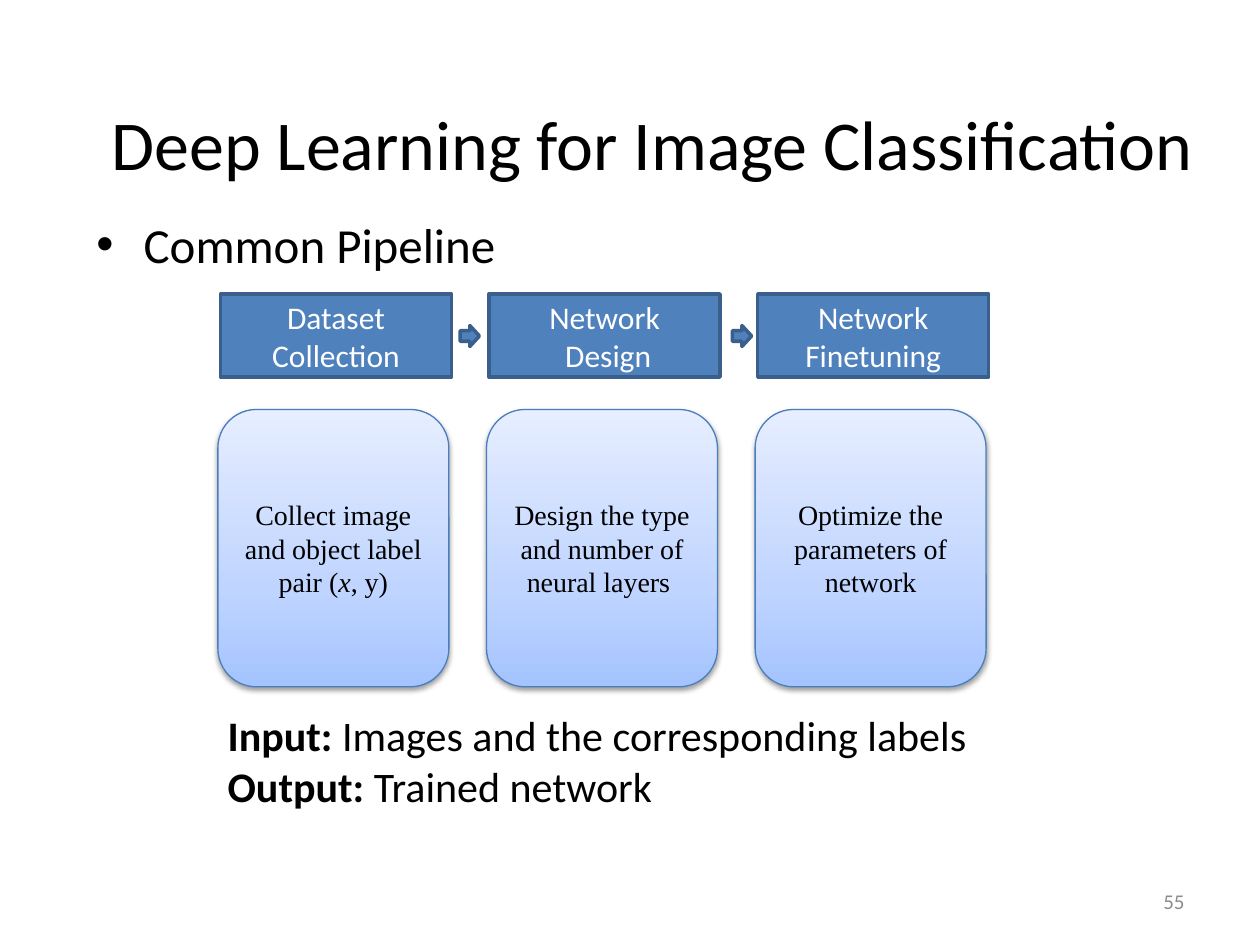
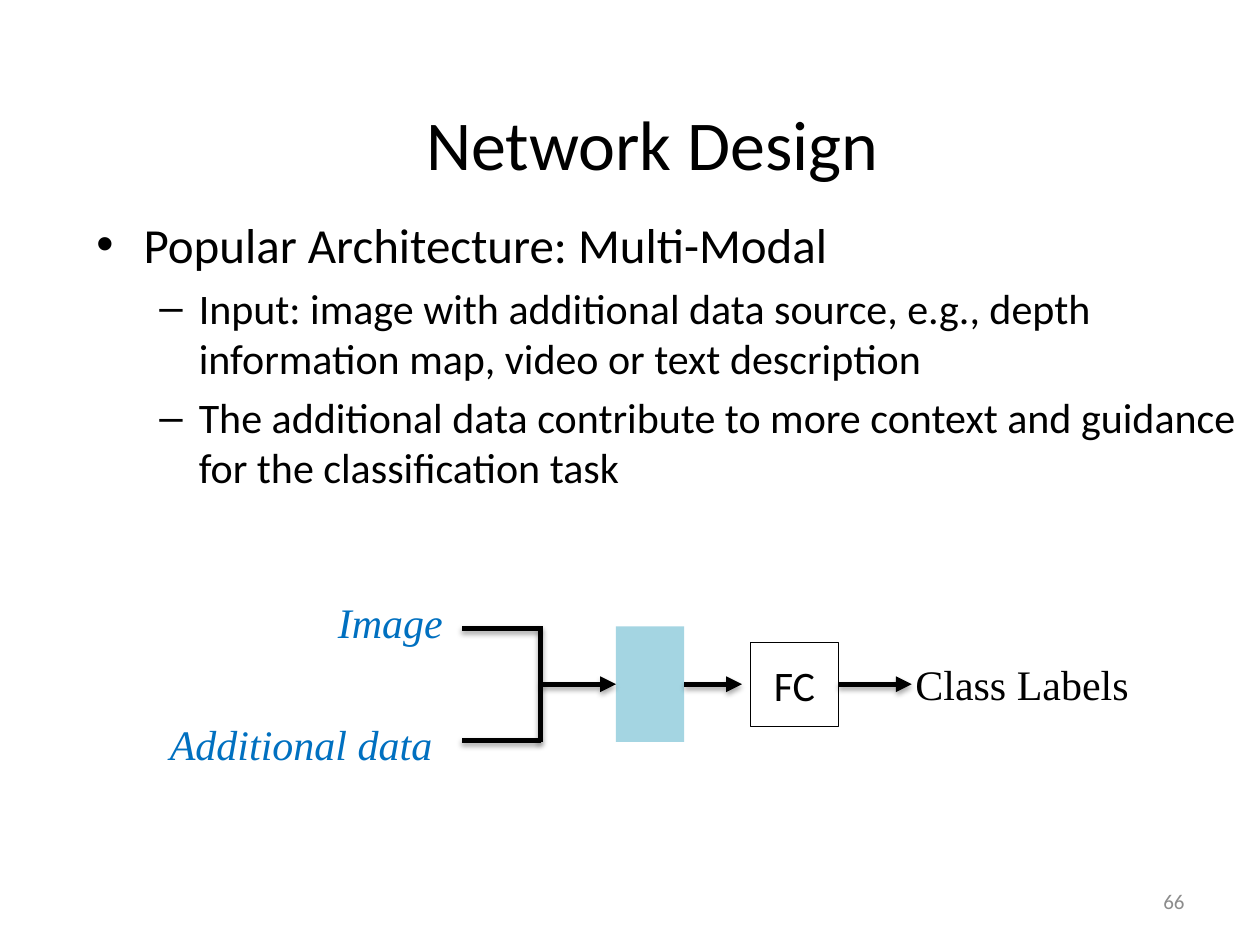
import copy
from dataclasses import dataclass

import lxml.etree
import pptx
import pptx.dml.color
import pptx.enum.shapes
import pptx.enum.text
import pptx.oxml.ns
import pptx.util

Pt = pptx.util.Pt
qn = pptx.oxml.ns.qn
Align = pptx.enum.text.PP_ALIGN
Anchor = pptx.enum.text.MSO_ANCHOR
Preset = pptx.enum.shapes.MSO_SHAPE
RIGHT_SIDE, LEFT_SIDE = 3, 1


@dataclass(frozen=True)
class Theme:
    sans: str = "Calibri"
    serif: str = "Times New Roman"
    black: str = "000000"
    white: str = "FFFFFF"
    grey: str = "8C8C8C"
    accent: str = "4F81BD"
    accent_edge: str = "3A5F8C"
    card_edge: str = "4B7EBC"
    card_stops: tuple = ((0, "A4C4FF"), (0.35, "BFD4FF"), (1, "E6EEFF"))
    source: str = "0070C0"
    fusion: str = "4BACC6"
    title_size: float = 40
    body_size: float = 28
    text_size: float = 24
    stage_size: float = 18
    card_size: float = 16
    footer_size: float = 12


THEME = Theme()


@dataclass(frozen=True)
class Box:
    left: float
    top: float
    width: float
    height: float

    def lengths(self) -> tuple:
        return Pt(self.left), Pt(self.top), Pt(self.width), Pt(self.height)


@dataclass(frozen=True)
class Style:
    size: float
    font: str = THEME.sans
    color: str = THEME.black
    italic: bool = False
    align: Align = Align.LEFT


@dataclass(frozen=True)
class Run:
    text: str
    bold: bool = False
    italic: bool = False


@dataclass(frozen=True)
class Bullet:
    char: str
    level: int
    margin: float
    hanging: float
    size: float


@dataclass(frozen=True)
class Stage:
    heading: tuple
    details: tuple


@dataclass(frozen=True)
class Shadow:
    alpha: int
    blur: float
    distance: float


TITLE = Box(49.5, 29, 646.5, 104.5)
BODY = Box(48, 119, 666, 356)
PAGE_NUMBER = Box(516, 500.5, 168, 28.5)
TOPIC = Bullet("•", 0, 27, 27, THEME.body_size)
POINT = Bullet("–", 1, 58.5, 22.5, THEME.text_size)
CARD_SHADOW = Shadow(38, 3.1, 1.6)
LINE_SHADOW = Shadow(35, 3.1, 1.8)
STAGES = (
    Stage(("Dataset Collection",),
          (Run("Collect image and object label pair ("), Run("x", italic=True), Run(", y)"))),
    Stage(("Network", " Design"),
          (Run("Design the type and number of neural layers "),)),
    Stage(("Network", "Finetuning"),
          (Run("Optimize the parameters of network"),)),
)


def rgb(value: str) -> pptx.dml.color.RGBColor:
    return pptx.dml.color.RGBColor.from_string(value)


def add_node(parent, tag: str, **attributes):
    return lxml.etree.SubElement(parent, qn(tag), {k: str(v) for k, v in attributes.items()})


def set_font(paragraph, style: Style) -> None:
    paragraph.alignment = style.align
    font = paragraph.font
    font.size, font.name, font.italic = Pt(style.size), style.font, style.italic
    font.color.rgb = rgb(style.color)


def write(frame, paragraphs, style: Style, anchor=Anchor.TOP, wrap: bool = True) -> None:
    frame.word_wrap = wrap
    frame.vertical_anchor = anchor
    for index, runs in enumerate(paragraphs):
        paragraph = frame.add_paragraph() if index else frame.paragraphs[0]
        set_font(paragraph, style)
        for part in runs:
            run = paragraph.add_run()
            run.text = part.text
            if part.bold:
                run.font.bold = True
            if part.italic:
                run.font.italic = True


def add_text(slide, box: Box, paragraphs, style: Style, anchor=Anchor.TOP, wrap: bool = True):
    text = slide.shapes.add_textbox(*box.lengths())
    write(text.text_frame, paragraphs, style, anchor, wrap)
    return text


def add_preset(slide, preset, box: Box, fill: str = "", edge: str = "", weight: float = 0):
    shape = slide.shapes.add_shape(preset, *box.lengths())
    shape.shadow.inherit = False
    if fill:
        shape.fill.solid()
        shape.fill.fore_color.rgb = rgb(fill)
    else:
        shape.fill.background()
    if edge:
        shape.line.color.rgb = rgb(edge)
        shape.line.width = Pt(weight)
    else:
        shape.line.fill.background()
    return shape


def cast_shadow(effects, shadow: Shadow) -> None:
    outer = add_node(effects, "a:outerShdw", blurRad=int(Pt(shadow.blur)),
                     dist=int(Pt(shadow.distance)), dir=5400000, rotWithShape=0)
    color = add_node(outer, "a:srgbClr", val=THEME.black)
    add_node(color, "a:alpha", val=shadow.alpha * 1000)


def shade_card(card) -> None:
    card.fill.gradient()
    card.fill.gradient_angle = 90
    stop_list = card._element.spPr.find(".//" + qn("a:gsLst"))
    stop_list.append(copy.deepcopy(stop_list[-1]))
    for stop, (position, color) in zip(card.fill.gradient_stops, THEME.card_stops):
        stop.position = position
        stop.color.rgb = rgb(color)
    cast_shadow(card._element.spPr.find(qn("a:effectLst")), CARD_SHADOW)


def add_wire(slide, start: tuple, end: tuple, arrow: bool = False):
    points = [Pt(value) for value in (*start, *end)]
    wire = slide.shapes.add_connector(pptx.enum.shapes.MSO_CONNECTOR.STRAIGHT, *points)
    wire.line.color.rgb = rgb(THEME.black)
    wire.line.width = Pt(3)
    if arrow:
        add_node(wire.line._get_or_add_ln(), "a:tailEnd", type="triangle")
    cast_shadow(add_node(wire._element.spPr, "a:effectLst"), LINE_SHADOW)
    return wire


def add_outline(slide, entries) -> None:
    frame = slide.shapes.add_textbox(*BODY.lengths()).text_frame
    frame.word_wrap = True
    for index, (bullet, text) in enumerate(entries):
        paragraph = frame.add_paragraph() if index else frame.paragraphs[0]
        paragraph.text = text
        paragraph.level = bullet.level
        properties = paragraph._p.get_or_add_pPr()
        properties.set("marL", str(int(Pt(bullet.margin))))
        properties.set("indent", str(-int(Pt(bullet.hanging))))
        add_node(properties, "a:buFont", typeface="Arial")
        add_node(properties, "a:buChar", char=bullet.char)
        set_font(paragraph, Style(bullet.size))
        if index:
            paragraph.space_before = Pt(5)


def start_slide(deck, title: str, number: int, outline):
    slide = deck.slides.add_slide(deck.slide_layouts[6])
    add_text(slide, TITLE, [[Run(title)]],
             Style(THEME.title_size, align=Align.CENTER), Anchor.MIDDLE)
    add_outline(slide, outline)
    add_text(slide, PAGE_NUMBER, [[Run(str(number))]],
             Style(THEME.footer_size, color=THEME.grey, align=Align.RIGHT), Anchor.MIDDLE)
    return slide


def build_pipeline(deck) -> None:
    slide = start_slide(deck, "Deep Learning for Image Classification", 55,
                        [(TOPIC, "Common Pipeline")])
    heading_style = Style(THEME.stage_size, color=THEME.white, align=Align.CENTER)
    card_style = Style(THEME.card_size, THEME.serif, align=Align.CENTER)
    pitch, width = 153.5, 132
    for index, stage in enumerate(STAGES):
        offset = index * pitch
        heading = add_preset(slide, Preset.RECTANGLE, Box(126 + offset, 168, width, 47.5),
                             THEME.accent, THEME.accent_edge, 2)
        write(heading.text_frame, [[Run(line)] for line in stage.heading],
              heading_style, Anchor.MIDDLE)
        card = add_preset(slide, Preset.ROUNDED_RECTANGLE,
                          Box(124.5 + offset, 234, width, 158.5),
                          edge=THEME.card_edge, weight=0.75)
        shade_card(card)
        write(card.text_frame, [stage.details], card_style, Anchor.MIDDLE)
    for index in range(len(STAGES) - 1):
        add_preset(slide, Preset.RIGHT_ARROW, Box(263 + index * 155.5, 186, 11, 12),
                   THEME.accent, THEME.accent_edge, 2)
    add_text(slide, Box(123, 402, 512.5, 65.5),
             [[Run("Input: ", bold=True), Run("Images and the corresponding labels")],
              [Run("Output: ", bold=True), Run("Trained network")]],
             Style(THEME.text_size))


def build_multi_modal(deck) -> None:
    slide = start_slide(deck, "Network Design", 66, [
        (TOPIC, "Popular Architecture: Multi-Modal"),
        (POINT, "Input: image with additional data source, e.g., depth information map, "
                "video or text description"),
        (POINT, "The additional data contribute to more context and guidance "
                "for the classification task"),
    ])
    axis, bus = 391, 309
    source_style = Style(THEME.text_size, THEME.serif, THEME.source, italic=True)
    for name, box in (("Image", Box(186, 337.5, 75, 36)),
                      ("Additional data", Box(90, 407, 165.5, 36))):
        source = add_preset(slide, Preset.RECTANGLE, box, THEME.white)
        write(source.text_frame, [[Run(name)]], source_style, wrap=False)

    fusion = add_preset(slide, Preset.RECTANGLE, Box(352, axis - 33, 39, 66), THEME.fusion)
    fusion_color = fusion._element.spPr.find(qn("a:solidFill")).find(qn("a:srgbClr"))
    add_node(fusion_color, "a:alpha", val=50000)
    classifier = add_preset(slide, Preset.RECTANGLE, Box(429, axis - 24, 50, 48),
                            edge=THEME.black, weight=0.75)
    write(classifier.text_frame, [[Run("FC")]],
          Style(THEME.text_size, align=Align.CENTER), Anchor.MIDDLE)
    add_text(slide, Box(516, axis - 18, 137.5, 36), [[Run("Class Labels")]],
             Style(THEME.text_size, THEME.serif), wrap=False)

    add_wire(slide, (391, axis), (424, axis), True).begin_connect(fusion, RIGHT_SIDE)
    add_wire(slide, (479, axis), (521, axis), True).begin_connect(classifier, RIGHT_SIDE)
    add_wire(slide, (bus, axis), (352, axis), True).end_connect(fusion, LEFT_SIDE)
    add_wire(slide, (bus, axis - 33), (bus, axis + 33))
    for level in (axis - 32, axis + 32):
        add_wire(slide, (bus, level), (264, level))


def main() -> None:
    deck = pptx.Presentation()
    deck.slide_width, deck.slide_height = Pt(720), Pt(540)
    build_pipeline(deck)
    build_multi_modal(deck)
    deck.save("out.pptx")


if __name__ == "__main__":
    main()
